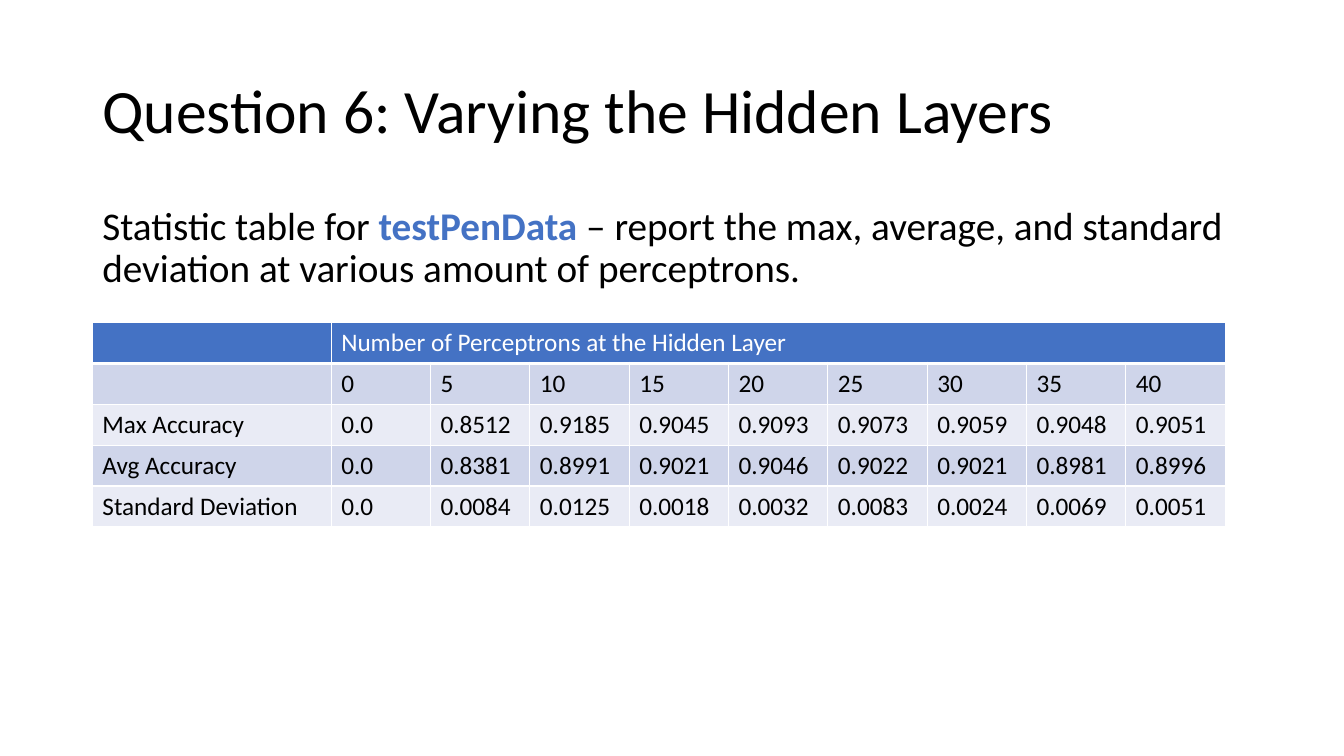
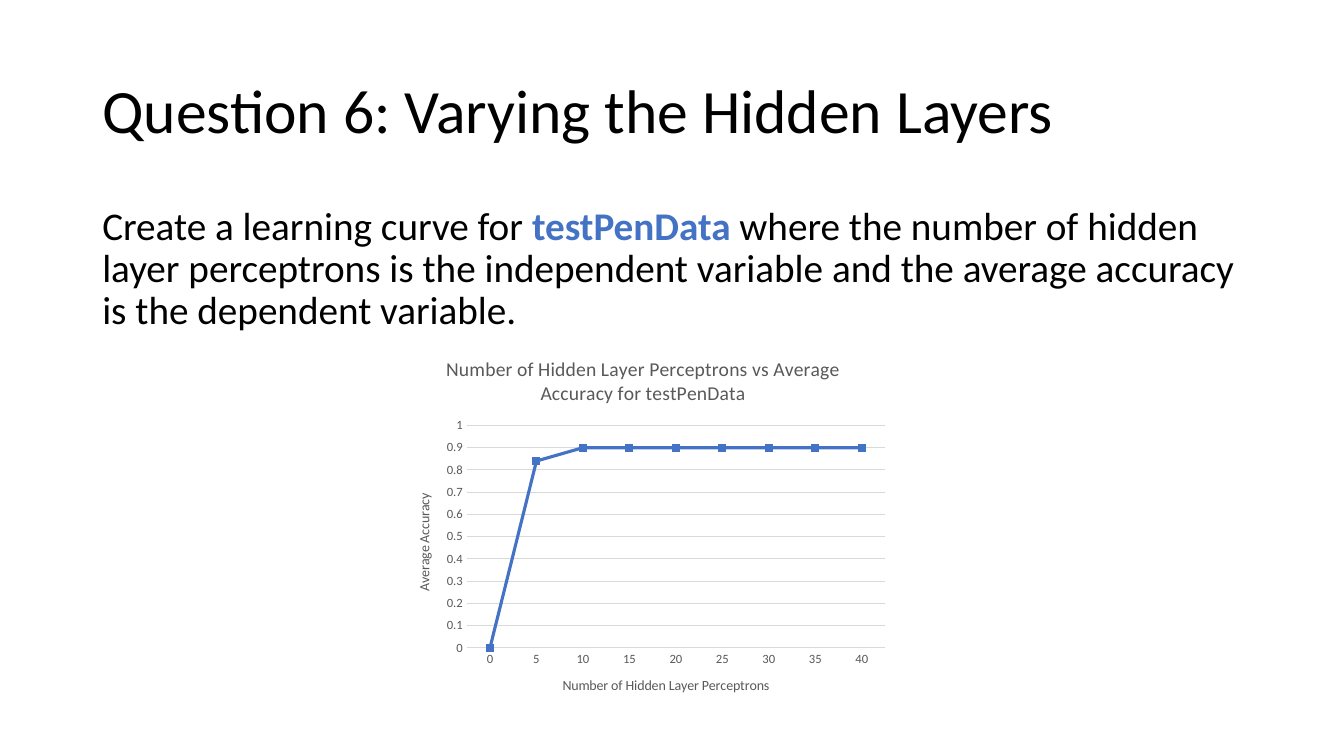
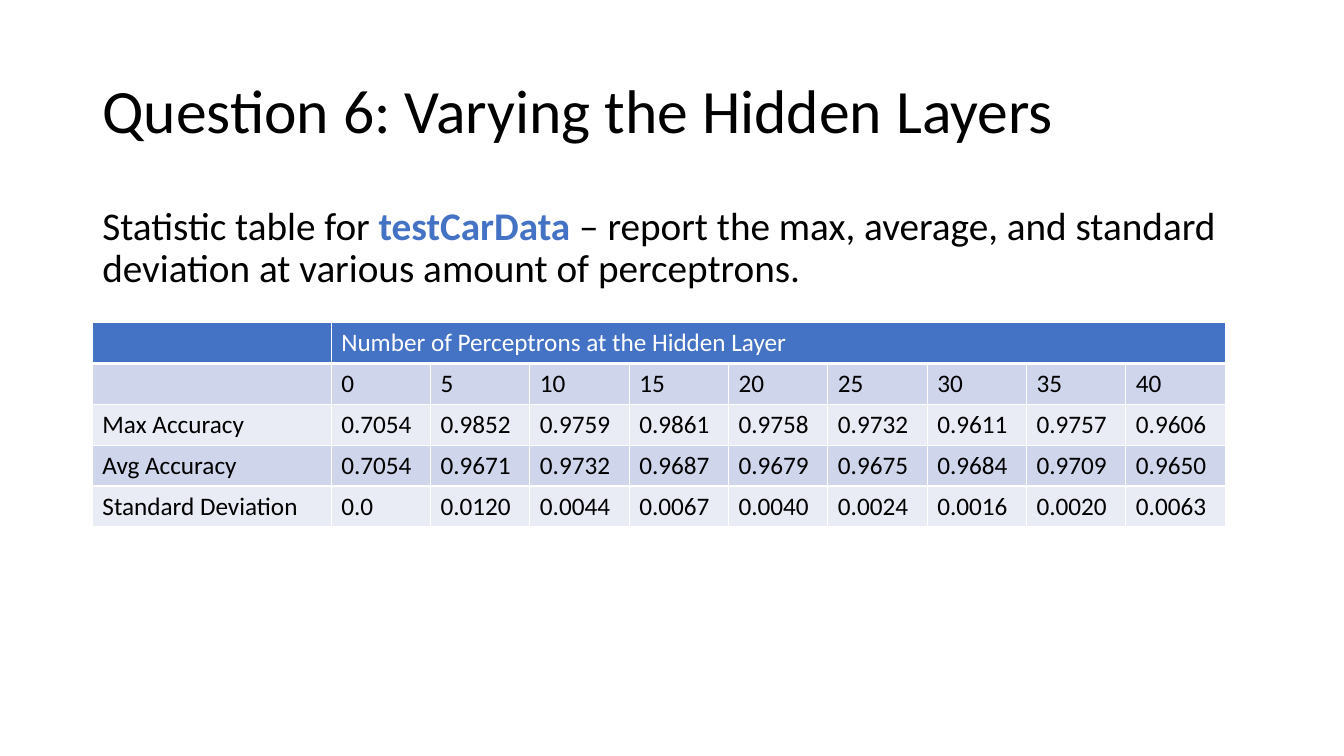
from dataclasses import dataclass

from lxml import etree
from pptx import Presentation
from pptx.chart.data import CategoryChartData
from pptx.dml.color import RGBColor
from pptx.enum.chart import XL_CHART_TYPE, XL_TICK_MARK
from pptx.enum.text import MSO_ANCHOR, PP_ALIGN
from pptx.oxml import parse_xml
from pptx.oxml.ns import nsdecls, qn
from pptx.util import Pt

LEFT, CENTER = PP_ALIGN.LEFT, PP_ALIGN.CENTER
TOP, MIDDLE = MSO_ANCHOR.TOP, MSO_ANCHOR.MIDDLE
LINE, NO_TICK = XL_CHART_TYPE.LINE, XL_TICK_MARK.NONE


@dataclass(frozen=True)
class Theme:
    font: str = "Calibri"
    black: str = "000000"
    white: str = "FFFFFF"
    blue: str = "4472C4"
    dark_band: str = "CFD5EA"
    light_band: str = "E9EBF5"
    gray: str = "595959"
    grid: str = "D9D9D9"
    title: int = 44
    body: int = 28
    cell: int = 18
    chart_title: int = 14
    axis_title: int = 10
    tick: int = 9


THEME = Theme()
TITLE = "Question 6: Varying the Hidden Layers"
STATISTICS = ("Statistic table for ",
              " – report the max, average, and standard deviation at various amount of perceptrons.")
PERCEPTRONS = [str(count) for count in range(0, 41, 5)]
ROW_NAMES = ["Max Accuracy", "Avg Accuracy", "Standard Deviation"]
MARGIN, TEXT_WIDTH = 66, 828
LABEL_WIDTH, VALUE_WIDTH, ROW_HEIGHT = 170.6, 70.96, 29.2

# Each page: text before, highlighted data set, text after, table values
PAGES = [
    (STATISTICS[0], "testPenData", STATISTICS[1], [
        "0.0 0.8512 0.9185 0.9045 0.9093 0.9073 0.9059 0.9048 0.9051",
        "0.0 0.8381 0.8991 0.9021 0.9046 0.9022 0.9021 0.8981 0.8996",
        "0.0 0.0084 0.0125 0.0018 0.0032 0.0083 0.0024 0.0069 0.0051"]),
    ("Create a learning curve for ", "testPenData ",
     "where the number of hidden layer perceptrons is the independent variable "
     "and the average accuracy is the dependent variable.", None),
    (STATISTICS[0], "testCarData", STATISTICS[1], [
        "0.7054 0.9852 0.9759 0.9861 0.9758 0.9732 0.9611 0.9757 0.9606",
        "0.7054 0.9671 0.9732 0.9687 0.9679 0.9675 0.9684 0.9709 0.9650",
        "0.0 0.0120 0.0044 0.0067 0.0040 0.0024 0.0016 0.0020 0.0063"]),
]
AVERAGES = [0, 0.84, 0.9, 0.9, 0.9, 0.9, 0.9, 0.9, 0.9]


def style(font, size, color, bold=False):
    font.name, font.size, font.bold = THEME.font, Pt(size), bold
    font.color.rgb = RGBColor.from_string(color)


def add_borders(cell, bottom_width):
    for side, width in (("L", 1), ("R", 1), ("T", 1), ("B", bottom_width)):
        cell._tc.get_or_add_tcPr().append(parse_xml(
            f'<a:ln{side} w="{Pt(width)}" {nsdecls("a")}><a:solidFill>'
            f'<a:srgbClr val="{THEME.white}"/></a:solidFill></a:ln{side}>'))


deck = Presentation()
deck.slide_width, deck.slide_height = Pt(960), Pt(540)

for before, data_set, after, values in PAGES:
    page = deck.slides.add_slide(deck.slide_layouts[5])

    # Title
    title = page.shapes.title
    title.left, title.top = Pt(MARGIN), Pt(28.75)
    title.width, title.height = Pt(TEXT_WIDTH), Pt(104.4)
    title.text_frame.text = TITLE
    title.text_frame.vertical_anchor = MIDDLE
    para = title.text_frame.paragraphs[0]
    para.alignment, para.line_spacing = LEFT, 0.9
    style(para.font, THEME.title, THEME.black)

    # Task description
    box = page.shapes.add_textbox(Pt(MARGIN), Pt(143.75), Pt(TEXT_WIDTH), Pt(342.6))
    box.text_frame.word_wrap = True
    box.text_frame.vertical_anchor = TOP
    para = box.text_frame.paragraphs[0]
    para.line_spacing, para.space_before = 0.9, Pt(10)
    for text, color in ((before, THEME.black), (data_set, THEME.blue), (after, THEME.black)):
        span = para.add_run()
        span.text = text
        style(span.font, THEME.body, color, bold=color == THEME.blue)

    # Statistics table
    if values:
        rows = [["", "Number of Perceptrons at the Hidden Layer"] + [""] * 8, [""] + PERCEPTRONS]
        rows += [[name] + line.split() for name, line in zip(ROW_NAMES, values)]
        table = page.shapes.add_table(
            len(rows), len(rows[0]), Pt(MARGIN), Pt(230.4),
            Pt(LABEL_WIDTH + 9 * VALUE_WIDTH), Pt(ROW_HEIGHT * len(rows))).table
        for index, column in enumerate(table.columns):
            column.width = Pt(VALUE_WIDTH if index else LABEL_WIDTH)
        for row_index, row in enumerate(rows):
            header = row_index == 0
            band = THEME.dark_band if row_index % 2 else THEME.light_band
            for column_index, text in enumerate(row):
                cell = table.cell(row_index, column_index)
                add_borders(cell, 3 if header else 1)
                cell.fill.solid()
                cell.fill.fore_color.rgb = RGBColor.from_string(THEME.blue if header else band)
                para = cell.text_frame.paragraphs[0]
                if text:
                    cell.text = text
                para.alignment = CENTER if column_index else LEFT
                style(para.font, THEME.cell, THEME.white if header else THEME.black, header)
        table.cell(0, 1).merge(table.cell(0, 9))
        continue

    # Learning curve
    data = CategoryChartData()
    data.categories = PERCEPTRONS
    data.add_series("Series 1", AVERAGES)
    chart = page.shapes.add_chart(LINE, Pt(279.4), Pt(242), Pt(360), Pt(269.3), data).chart
    chart.has_legend = False
    style(chart.font, THEME.axis_title, THEME.black)
    chart.plots[0].vary_by_categories = False
    curve = chart.plots[0].series[0]
    curve.smooth = False
    curve.marker.style = None
    curve.format.line.width = Pt(2.25)
    curve.format.line.color.rgb = RGBColor.from_string(THEME.blue)

    # Chart and axis titles
    chart.has_title = True
    across, up = chart.category_axis, chart.value_axis
    for owner, text, size in (
            (chart.chart_title,
             "Number of Hidden Layer Perceptrons vs Average Accuracy for testPenData",
             THEME.chart_title),
            (across.axis_title, "Number of Hidden Layer Perceptrons", THEME.axis_title),
            (up.axis_title, "Average Accuracy", THEME.axis_title)):
        owner.text_frame.text = text
        style(owner.text_frame.paragraphs[0].font, size, THEME.gray)

    # Axes and grid
    for axis in (across, up):
        axis.major_tick_mark = axis.minor_tick_mark = NO_TICK
        style(axis.tick_labels.font, THEME.tick, THEME.gray)
    up.minimum_scale, up.maximum_scale, up.major_unit = 0, 1, 0.1
    up.has_major_gridlines = True
    up.format.line.fill.background()
    for line in (across.format.line, up.major_gridlines.format.line):
        line.width = Pt(0.75)
        line.color.rgb = RGBColor.from_string(THEME.grid)

    # Plot area as fractions of the chart
    plot_area = chart._chartSpace.chart.plotArea
    for layout in plot_area.findall(qn("c:layout")):
        plot_area.remove(layout)
    layout = parse_xml(f'<c:layout {nsdecls("c")}><c:manualLayout/></c:layout>')
    for tag, value in (("layoutTarget", "inner"), ("xMode", "edge"), ("yMode", "edge"),
                       ("x", 0.15), ("y", 0.23), ("w", 0.83), ("h", 0.59)):
        etree.SubElement(layout[0], qn(f"c:{tag}")).set("val", str(value))
    plot_area.insert(0, layout)

deck.save("out.pptx")
